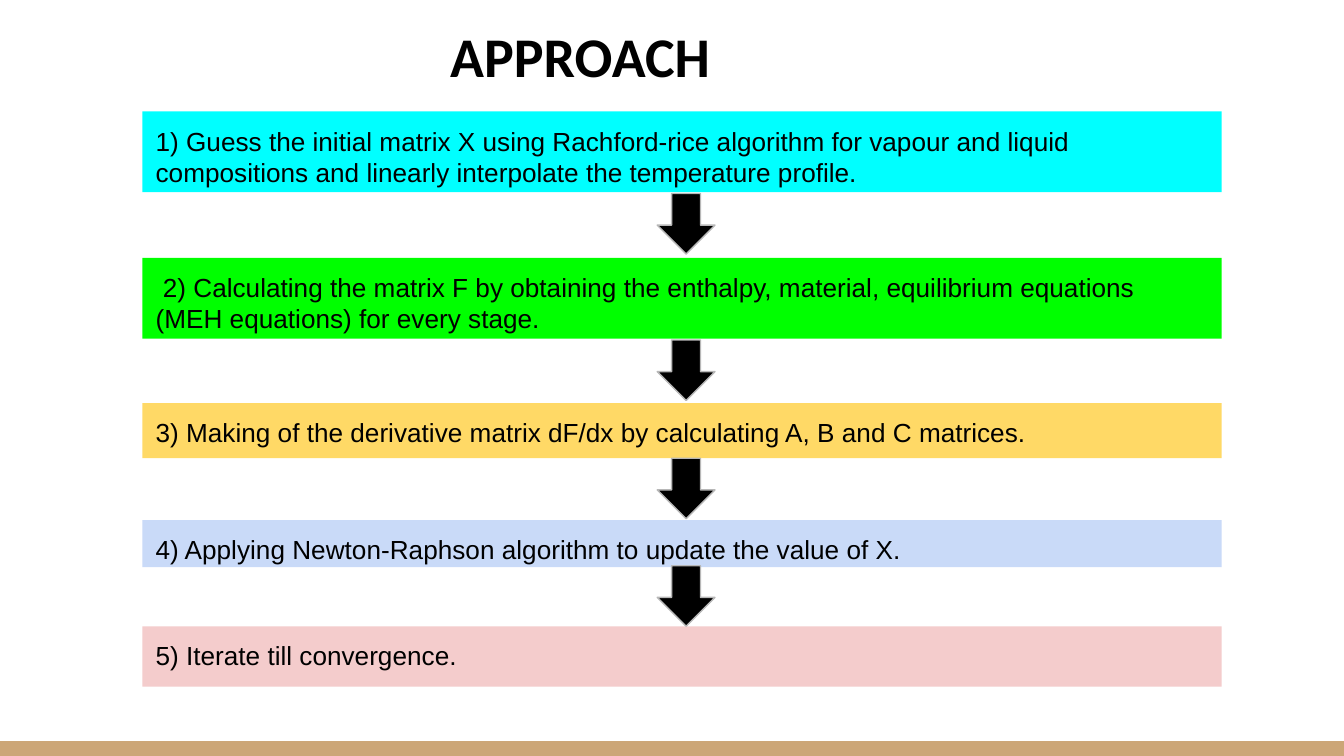
from pptx import Presentation
from pptx.dml.color import RGBColor
from pptx.enum import shapes, text
from pptx.util import Inches, Pt

SLIDE_W, SLIDE_H = 10, 10 * 9 / 16
LEFT, WIDTH = 1.06, 8.03
ARROW_LEFT, ARROW_W, ARROW_H = 4.89, 0.43, 0.45
BAND_H = 0.11

# top, bar height, text height, fill, wording
STEPS = [
    (0.83, 0.6, 0.64, "00FFFF",
     "1) Guess the initial matrix X using Rachford-rice algorithm for vapour and "
     "liquid compositions and linearly interpolate the temperature profile."),
    (1.92, 0.6, 0.64, "00FF00",
     " 2) Calculating the matrix F by obtaining the enthalpy, material, equilibrium "
     "equations (MEH equations) for every stage."),
    (3, 0.41, 0.42, "FFD966",
     "3) Making of the derivative matrix dF/dx by calculating A, B and C matrices."),
    (3.87, 0.35, 0.42, "C9DAF8",
     "4) Applying Newton-Raphson algorithm to update the value of X."),
    (4.66, 0.45, 0.42, "F4CCCC", "5) Iterate till convergence."),
]
ARROW_TOPS = [1.44, 2.53, 3.41, 4.21]


def rgb(value):
    return RGBColor.from_string(value)


def write(sp, words, *, size, font, bold=False, color="000000",
          anchor=text.MSO_ANCHOR.TOP, left=0.1, bottom=0.1):
    tf = sp.text_frame
    tf.word_wrap = True
    tf.auto_size = text.MSO_AUTO_SIZE.NONE
    tf.vertical_anchor = anchor
    tf.margin_left, tf.margin_bottom = Inches(left), Inches(bottom)
    tf.margin_top = tf.margin_right = Inches(0.1)
    p = tf.paragraphs[0]
    p.alignment = text.PP_ALIGN.LEFT
    r = p.add_run()
    r.text = words
    r.font.size, r.font.name, r.font.bold = Pt(size), font, bold
    r.font.color.rgb = rgb(color)


def add_shape(parent, kind, box, fill, line=None):
    sp = parent.shapes.add_shape(kind, *map(Inches, box))
    sp.shadow.inherit = False
    sp.fill.solid()
    sp.fill.fore_color.rgb = rgb(fill)
    if line:
        sp.line.color.rgb = rgb(line)
        sp.line.width = Pt(0.75)
    else:
        sp.line.fill.background()
    return sp


def add_step(s, top, bar_h, text_h, fill, words):
    group = s.shapes.add_group_shape()
    add_shape(group, shapes.MSO_SHAPE.RECTANGLE, (LEFT, top, WIDTH, bar_h), fill)
    box = group.shapes.add_textbox(*map(Inches, (LEFT, top, WIDTH, text_h)))
    write(box, words, size=14, font="Arial")


def add_title(s, words):
    sp = s.shapes.title
    sp.left, sp.top, sp.width, sp.height = map(Inches, (0.48, -0.12, 9.32, 0.91))
    write(sp, words, size=30, font="Calibri", bold=True,
          anchor=text.MSO_ANCHOR.BOTTOM, left=2.87, bottom=0.13)


def main():
    prs = Presentation()
    prs.slide_width, prs.slide_height = Inches(SLIDE_W), Inches(SLIDE_H)
    s = prs.slides.add_slide(prs.slide_layouts[5])

    # Footer band and title
    add_shape(s, shapes.MSO_SHAPE.RECTANGLE,
              (0, SLIDE_H - BAND_H, SLIDE_W, BAND_H), "CCA677")
    add_title(s, "APPROACH")

    # Steps, then the arrows between them
    for step in STEPS:
        add_step(s, *step)
    for top in ARROW_TOPS:
        add_shape(s, shapes.MSO_SHAPE.DOWN_ARROW,
                  (ARROW_LEFT, top, ARROW_W, ARROW_H), "000000", line="B7B7B7")

    prs.save("out.pptx")


if __name__ == "__main__":
    main()
